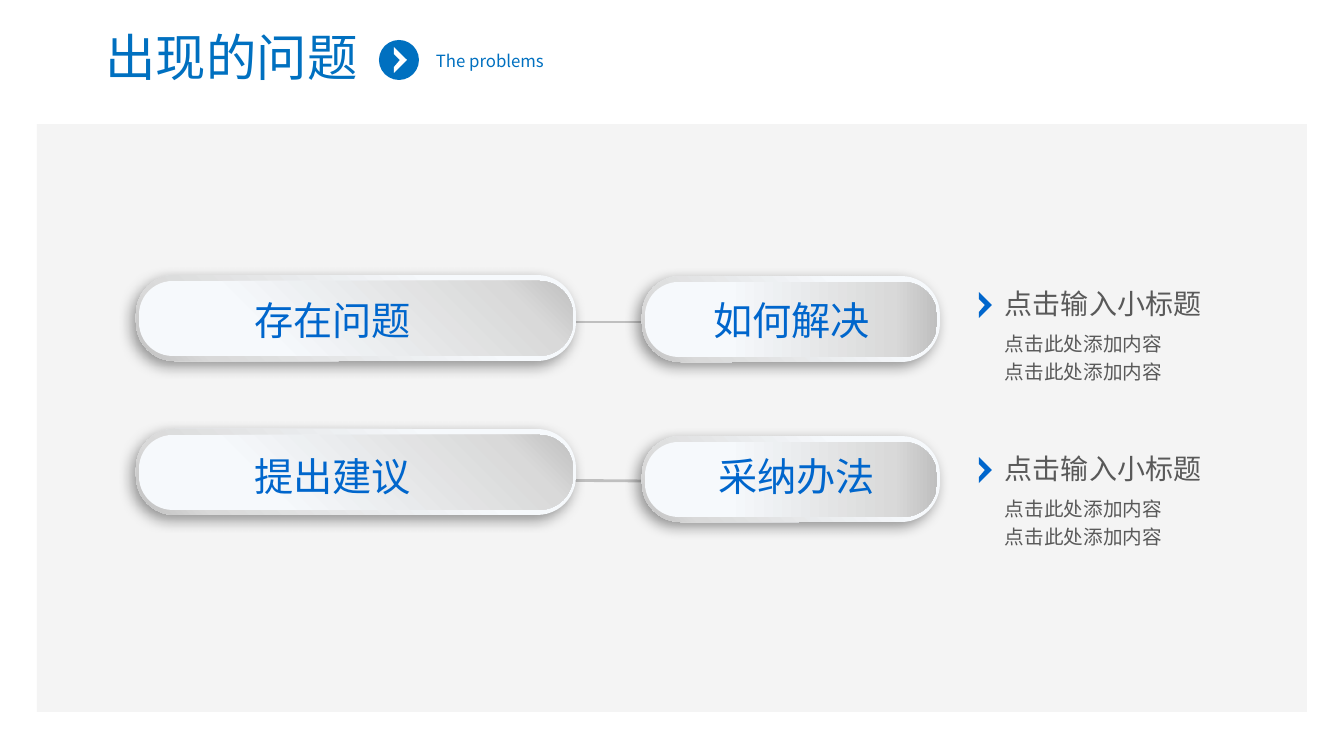
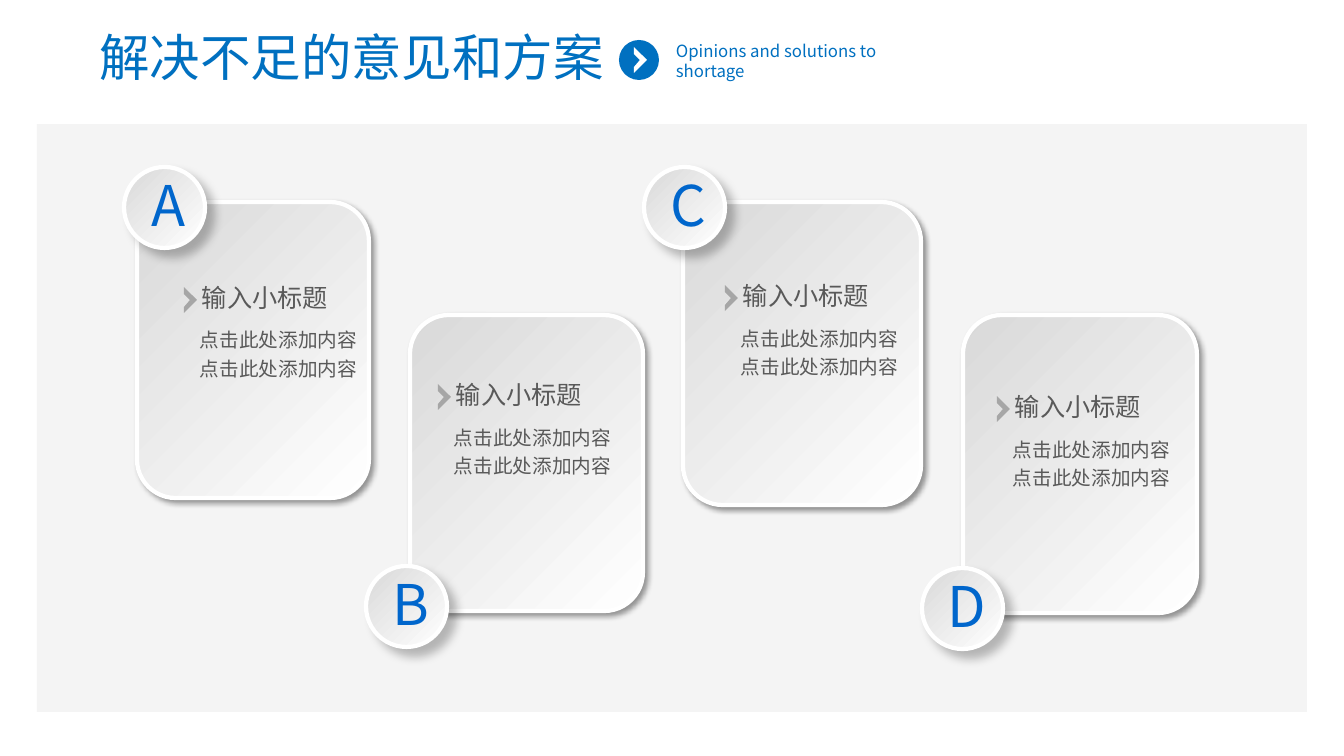
from lxml.etree import SubElement
from pptx import Presentation
from pptx.dml.color import RGBColor
from pptx.enum.shapes import MSO_CONNECTOR as Connector, MSO_SHAPE as Shape
from pptx.enum.text import PP_ALIGN as Align
from pptx.oxml.ns import qn
from pptx.util import Pt

EMU_PER_PX = 914400 / 100.8
FONT = "Noto Sans CJK SC"
TITLE_BLUE = RGBColor(0x00, 0x70, 0xC0)
BLUE = RGBColor(0x00, 0x66, 0xCC)
TEXT_GRAY = RGBColor(0x59, 0x59, 0x59)
CHEVRON_GRAY = RGBColor(0xA6, 0xA6, 0xA6)
LINE_GRAY = RGBColor(0xBF, 0xBF, 0xBF)
SILVER = RGBColor(0xD9, 0xD9, 0xD9)
PANEL_GRAY = RGBColor(0xF2, 0xF2, 0xF2)
ICE = RGBColor(0xF6, 0xF9, 0xFC)
WHITE = RGBColor(0xFF, 0xFF, 0xFF)
PILL_STOPS = [(28, ICE), (85, SILVER), (100, LINE_GRAY)]
CARD_STOPS = [(0, WHITE), (100, SILVER)]
BADGE_STOPS = [(0, SILVER), (100, WHITE)]
BODY_LINES = ["点击此处添加内容"] * 2


def px(*lengths):
    """Turn pixel lengths into EMU."""
    return [round(length * EMU_PER_PX) for length in lengths]


def add_text(slide, box, lines, size, color, align=Align.LEFT, spacing=None, wrap=True):
    """Place a text box with one paragraph per line."""
    text_box = slide.shapes.add_textbox(*px(*box))
    frame = text_box.text_frame
    frame.word_wrap = wrap
    frame.text = "\n".join(lines)
    for paragraph in frame.paragraphs:
        paragraph.alignment = align
        paragraph.line_spacing = spacing
        paragraph.font.size = Pt(size)
        paragraph.font.color.rgb = color
        paragraph.font.name = FONT
    for properties in text_box.element.iter(qn("a:defRPr")):
        SubElement(properties, qn("a:ea"), typeface=FONT)


def add_flat(slide, kind, box, color):
    """Place a preset shape with a plain fill and no line or shadow."""
    shape = slide.shapes.add_shape(kind, *px(*box))
    shape.shadow.inherit = False
    shape.fill.solid()
    shape.fill.fore_color.rgb = color
    shape.line.fill.background()
    return shape


def add_gradient(slide, kind, box, stops, angle, shadow=None, outlined=False):
    """Place a preset shape with a clockwise gradient and optional shadow."""
    shape = add_flat(slide, kind, box, WHITE)
    shape.fill.gradient()
    shape.fill.gradient_angle = (360 - angle) % 360
    stop_list = shape.element.spPr.find(".//" + qn("a:gsLst"))
    stop_list.clear()
    for position, color in stops:
        stop = SubElement(stop_list, qn("a:gs"), pos=str(position * 1000))
        SubElement(stop, qn("a:srgbClr"), val=str(color))
    if outlined:
        shape.line.color.rgb = WHITE
        shape.line.width = Pt(3)
    if shadow:
        alpha, blur, distance, direction = shadow
        outer = SubElement(
            shape.element.spPr.find(qn("a:effectLst")), qn("a:outerShdw"),
            blurRad=str(Pt(blur)), dist=str(Pt(distance)),
            dir=str(direction * 60000), algn="ctr", rotWithShape="0")
        black = SubElement(outer, qn("a:srgbClr"), val="000000")
        SubElement(black, qn("a:alpha"), val=str(alpha * 1000))
    return shape


def add_chevron(slide, left, top, color):
    """Draw the small arrowhead that marks titles and notes."""
    outline = [(0, 0), (13, 13), (0, 26), (0, 20), (6, 13), (0, 7)]
    points = [(left + x, top + y) for x, y in outline]
    builder = slide.shapes.build_freeform(*points[0], scale=EMU_PER_PX)
    builder.add_line_segments(points[1:])
    chevron = builder.convert_to_shape()
    chevron.shadow.inherit = False
    chevron.fill.solid()
    chevron.fill.fore_color.rgb = color
    chevron.line.fill.background()


def add_frame(prs, title, title_width, subtitle, subtitle_top):
    """Start a slide with its heading and gray panel."""
    slide = prs.slides.add_slide(prs.slide_layouts[6])
    button_left = 77 + title_width - 7
    add_flat(slide, Shape.OVAL, (button_left, 40, 40, 40), TITLE_BLUE)
    add_chevron(slide, button_left + 15, 47, WHITE)
    add_text(slide, (button_left + 47, subtitle_top, 252, 30), [subtitle], 12, TITLE_BLUE)
    add_text(slide, (77, 21, title_width, 72), [title], 36, TITLE_BLUE, Align.CENTER)
    panel = add_flat(slide, Shape.RECTANGLE, (37, 124, 1270, 588), PANEL_GRAY)
    panel_color = panel.element.spPr.find(".//" + qn("a:srgbClr"))
    SubElement(panel_color, qn("a:alpha"), val="78000")
    return slide


def add_note(slide, left, top, heading, size, color, indents):
    """Place a chevron with a heading and two lines of body text."""
    heading_indent, body_indent, body_drop = indents
    add_text(slide, (left + body_indent, top + body_drop, 180, 67),
             BODY_LINES, 14, TEXT_GRAY, spacing=Pt(20))
    add_chevron(slide, left, top, color)
    add_text(slide, (left + heading_indent, top - 10, 273, 44), [heading], size, TEXT_GRAY)


def add_pill(slide, left, top, width, inner_angle, label, label_left, label_top):
    """Place a raised pill with its label."""
    rim = add_gradient(slide, Shape.ROUNDED_RECTANGLE, (left, top, width, 86),
                       PILL_STOPS, 135, (40, 10, 5, 135))
    face = add_gradient(slide, Shape.ROUNDED_RECTANGLE, (left + 3, top + 6, width - 6, 75),
                        PILL_STOPS, inner_angle)
    for part in (rim, face):
        part.adjustments[0] = 0.45
    add_text(slide, (label_left, label_top, 235, 57), [label], 28, BLUE, Align.CENTER)


def add_link(slide, start, end):
    """Draw the gray line between two pills."""
    link = slide.shapes.add_connector(Connector.STRAIGHT, *px(*start, *end))
    link.line.color.rgb = LINE_GRAY
    link.line.width = Pt(2)
    SubElement(link.element.spPr, qn("a:effectLst"))


def add_card(slide, card, badge, letter, note):
    """Place a rounded card with its letter badge and note."""
    add_gradient(slide, Shape.ROUNDED_RECTANGLE, card, CARD_STOPS, 225, (40, 4, 3, 45), True)
    left, top = badge
    add_gradient(slide, Shape.OVAL, (left, top, 81, 81), BADGE_STOPS, 45, (25, 7, 8, 45), True)
    add_text(slide, (left + 4, top - 1, 81, 78), [letter], 40, BLUE, Align.CENTER, wrap=False)
    add_note(slide, *note, "输入小标题", 18, CHEVRON_GRAY, (8, 6, 32))


def build_problems(prs):
    """Build the slide of problems and remedies."""
    slide = add_frame(prs, "出现的问题", 309, "The problems", 46)
    add_link(slide, (529, 322), (688, 322))
    add_link(slide, (513, 480), (647, 481))
    add_pill(slide, 136, 275, 440, 315, "存在问题", 215, 291)
    add_pill(slide, 136, 429, 440, 315, "提出建议", 215, 447)
    add_pill(slide, 642, 276, 298, 0, "如何解决", 674, 291)
    add_pill(slide, 642, 436, 298, 0, "采纳办法", 679, 447)
    for top in (292, 457):
        add_note(slide, 979, top, "点击输入小标题", 20, BLUE, (16, 16, 30))


def build_solutions(prs):
    """Build the slide of four lettered cards."""
    slide = add_frame(prs, "解决不足的意见和方案", 549, "Opinions and solutions to shortage", 36)
    cards = [
        ((137, 202, 232, 296), (124, 167), "A", (184, 287)),
        ((410, 315, 233, 296), (366, 566), "B", (438, 384)),
        ((683, 202, 238, 303), (644, 167), "C", (725, 285)),
        ((963, 315, 234, 298), (922, 568), "D", (997, 396)),
    ]
    for card in cards:
        add_card(slide, *card)


def main():
    """Build and save the presentation."""
    prs = Presentation()
    prs.slide_width, prs.slide_height = px(1344, 756)
    build_problems(prs)
    build_solutions(prs)
    prs.save("out.pptx")


main()
